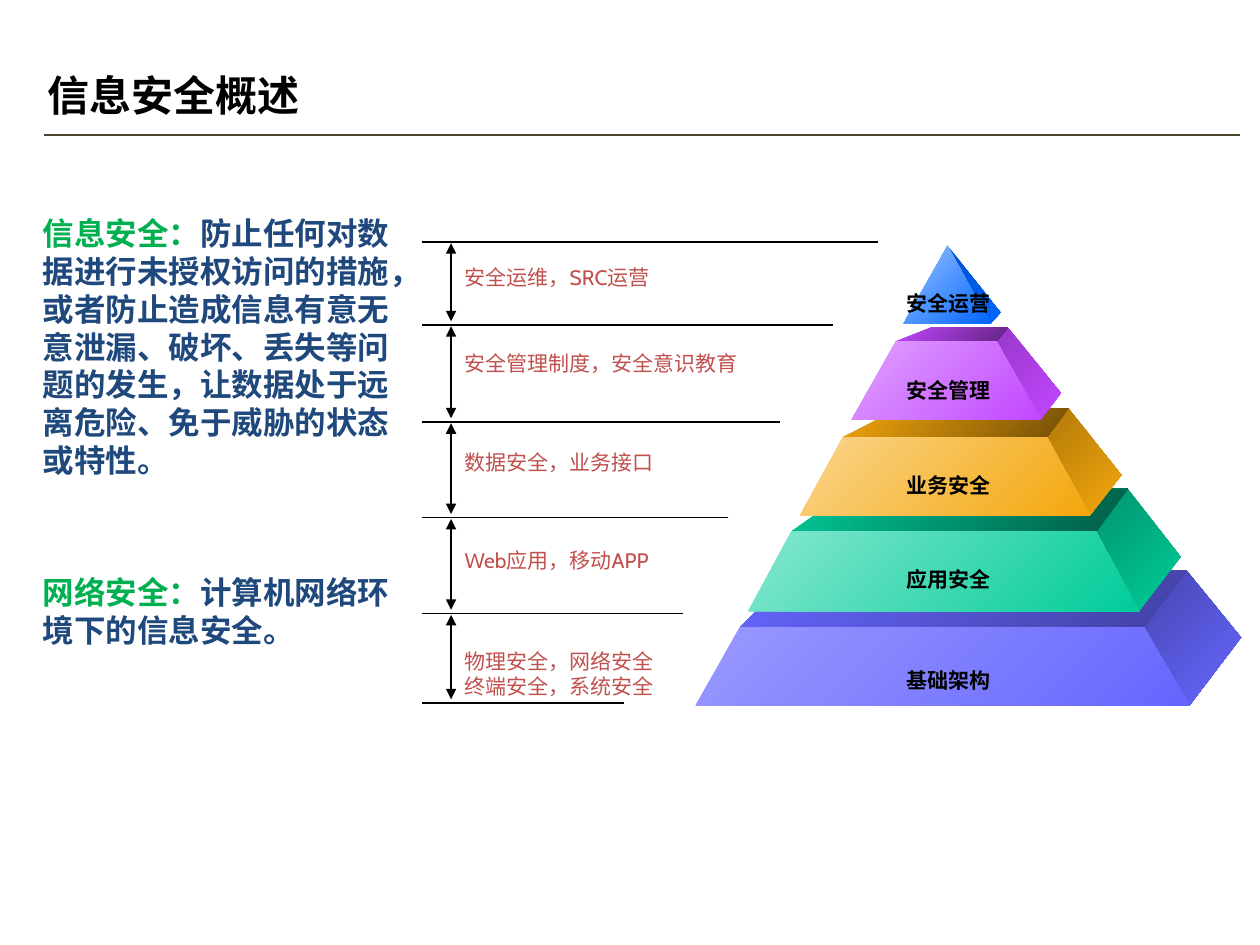
from itertools import pairwise

from lxml.etree import SubElement
from pptx import Presentation
from pptx.dml.color import RGBColor
from pptx.enum.shapes import MSO_CONNECTOR
from pptx.enum.text import MSO_ANCHOR, PP_ALIGN
from pptx.oxml.ns import qn
from pptx.util import Inches, Pt

BLACK, GREEN, NAVY, RED, OLIVE = "000000", "00B050", "1F497D", "C0504D", "4A452A"

DEFINITIONS = [
    ("信息安全：", "防止任何对数据进行未授权访问的措施，或者防止造成信息有意无意泄漏、破坏、丢失等问题的发生，让数据处于远离危险、免于威胁的状态或特性。"),
    ("网络安全：", "计算机网络环境下的信息安全。"),
]

# fmt: off
TIERS = [
    dict(base=(5.52, 9.44, 5.6), ridge=(5.87, 9.08, 4.98), back=(6.32, 9.42, 4.53), corner=(9.85, 5.06),
         front=("9999FF", "6666FF"), top=("6666FF", "4141A2"), side=("4747B2", "6666FF")),
    dict(base=(5.94, 9.04, 4.85), ridge=(6.28, 8.7, 4.22), back=(6.76, 8.95, 3.88), corner=(9.37, 4.42),
         front=("86E7CF", "00CC99"), top=("00CC99", "005A44"), side=("009570", "00CC99")),
    dict(base=(6.35, 8.65, 4.09), ridge=(6.69, 8.31, 3.47), back=(7.14, 8.48, 3.24), corner=(8.9, 3.77),
         front=("FAD58C", "F4A70C"), top=("F4A70C", "744F06"), side=("B27A09", "F4A70C")),
    dict(base=(6.76, 8.26, 3.33), ridge=(7.11, 7.91, 2.71), back=(7.39, 8, 2.6), corner=(8.42, 3.12),
         front=("E0A3FF", "C247FF"), top=("C247FF", "632482"), side=("9A38CA", "C247FF")),
]
# fmt: on
PEAK_FRONT = [(7.17, 2.57), (7.86, 2.57), (7.52, 1.95)]
PEAK_SIDE = [(7.86, 2.57), (7.94, 2.48), (7.52, 1.95)]

LEVELS = [(1.92, 6.97), (2.58, 6.61), (3.35, 6.19), (4.11, 5.78), (4.87, 5.42), (5.58, 4.95)]

MEASURES = [
    (2.05, 1.73, ["安全运维，SRC运营"]),
    (2.73, 2.39, ["安全管理制度，安全意识教育"]),
    (3.52, 1.72, ["数据安全，业务接口"]),
    (4.3, 1.66, ["Web应用，移动APP"]),
    (5.1, 1.75, ["物理安全，网络安全", "终端安全，系统安全"]),
]

TIER_NAMES = [
    (2.26, "安全运营"),
    (2.95, "安全管理"),
    (3.7, "业务安全"),
    (4.45, "应用安全"),
    (5.25, "基础架构"),
]


def color(value):
    return RGBColor.from_string(value)


def add_run(paragraph, text, font, size, fill, bold=False):
    run = paragraph.add_run()
    run.text = text
    run.font.name = font
    run.font.size = Pt(size)
    run.font.bold = bold
    run.font.color.rgb = color(fill)


def add_title(slide, text):
    title = slide.shapes.title
    title.left, title.top, title.width, title.height = map(Inches, (0.28, 0.29, 9, 0.93))
    title.text_frame.vertical_anchor = MSO_ANCHOR.MIDDLE
    paragraph = title.text_frame.paragraphs[0]
    paragraph.alignment = PP_ALIGN.LEFT
    add_run(paragraph, text, "Calibri", 24, BLACK, True)


def add_line(shapes, x1, y1, x2, y2, stroke=BLACK, width=0.75, arrows=False):
    line = shapes.add_connector(MSO_CONNECTOR.STRAIGHT, *map(Inches, (x1, y1, x2, y2)))
    line.line.color.rgb = color(stroke)
    line.line.width = Pt(width)
    if arrows:
        outline = line.line._get_or_add_ln()
        for end in ("a:headEnd", "a:tailEnd"):
            SubElement(outline, qn(end), type="triangle")
    SubElement(line._element.spPr, qn("a:effectLst"))


def add_text_frame(slide, left, top, width, height):
    frame = slide.shapes.add_textbox(*map(Inches, (left, top, width, height))).text_frame
    frame.word_wrap = True
    return frame


def add_label(slide, left, top, width, lines, fill, bold=False, align=PP_ALIGN.LEFT):
    frame = add_text_frame(slide, left, top, width, 0.1 + 0.2 * len(lines))
    for index, text in enumerate(lines):
        paragraph = frame.add_paragraph() if index else frame.paragraphs[0]
        paragraph.alignment = align
        add_run(paragraph, text, "Cabin", 12, fill, bold)


def add_definitions(slide):
    frame = add_text_frame(slide, 0.24, 1.65, 3.11, 4.95)
    for index, (term, meaning) in enumerate(DEFINITIONS):
        paragraph = frame.add_paragraph() if index else frame.paragraphs[0]
        if index:
            paragraph.space_before = Pt(54)
        add_run(paragraph, term, "Calibri", 18, GREEN, True)
        add_run(paragraph, meaning, "Calibri", 18, NAVY, True)


def add_face(shapes, points, shades):
    corners = [(Inches(x), Inches(y)) for x, y in points]
    builder = shapes.build_freeform(*corners[0], scale=1.0)
    builder.add_line_segments(corners[1:], close=True)
    face = builder.convert_to_shape()
    face.shadow.inherit = False
    face.line.fill.background()
    face.fill.gradient()
    face.fill.gradient_angle = 315
    for stop, shade in zip(face.fill.gradient_stops, shades):
        stop.color.rgb = color(shade)


def add_tier(slide, base, ridge, back, corner, front, top, side):
    shapes = slide.shapes.add_group_shape().shapes
    (base_left, base_right), (ridge_left, ridge_right), (back_left, back_right) = (
        ((left, y), (right, y)) for left, right, y in (base, ridge, back)
    )
    add_face(shapes, [base_right, ridge_right, back_right, corner], side)
    add_face(shapes, [ridge_left, ridge_right, back_right, back_left], top)
    add_face(shapes, [base_left, base_right, ridge_right, ridge_left], front)


def add_peak(slide):
    shapes = slide.shapes.add_group_shape().shapes
    add_face(shapes, PEAK_SIDE, ("0051CA", "0066FF"))
    add_face(shapes, PEAK_FRONT, ("9EC5FF", "0066FF"))


def add_scale(slide):
    level_lines = slide.shapes.add_group_shape().shapes
    for y, right in LEVELS:
        add_line(level_lines, right, y, 3.35, y)
    for (upper, _), (lower, _) in pairwise(LEVELS):
        add_line(slide.shapes, 3.58, upper + 0.01, 3.58, lower - 0.03, arrows=True)


def main():
    presentation = Presentation()
    presentation.slide_width, presentation.slide_height = Inches(10), Inches(7.5)
    slide = presentation.slides.add_slide(presentation.slide_layouts[5])
    add_line(slide.shapes, 0.35, 1.07, 9.84, 1.07, OLIVE, 1)
    add_title(slide, "信息安全概述")
    add_definitions(slide)
    for tier in TIERS:
        add_tier(slide, **tier)
    add_peak(slide)
    add_scale(slide)
    for top, width, lines in MEASURES:
        add_label(slide, 3.59, top, width, lines, RED)
    for top, name in TIER_NAMES:
        add_label(slide, 7.09, top, 0.88, [name], BLACK, True, PP_ALIGN.CENTER)
    presentation.save("out.pptx")


if __name__ == "__main__":
    main()
